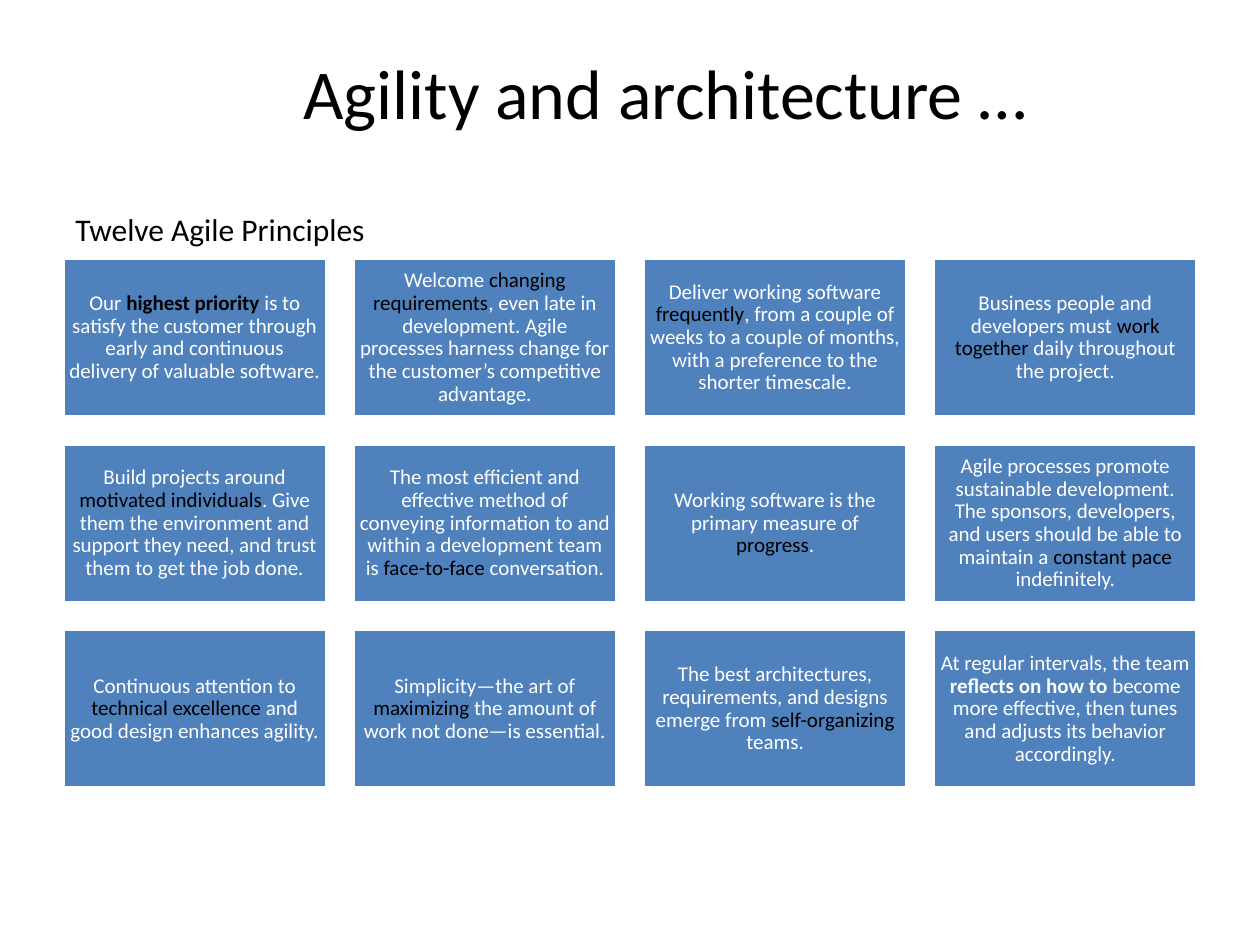
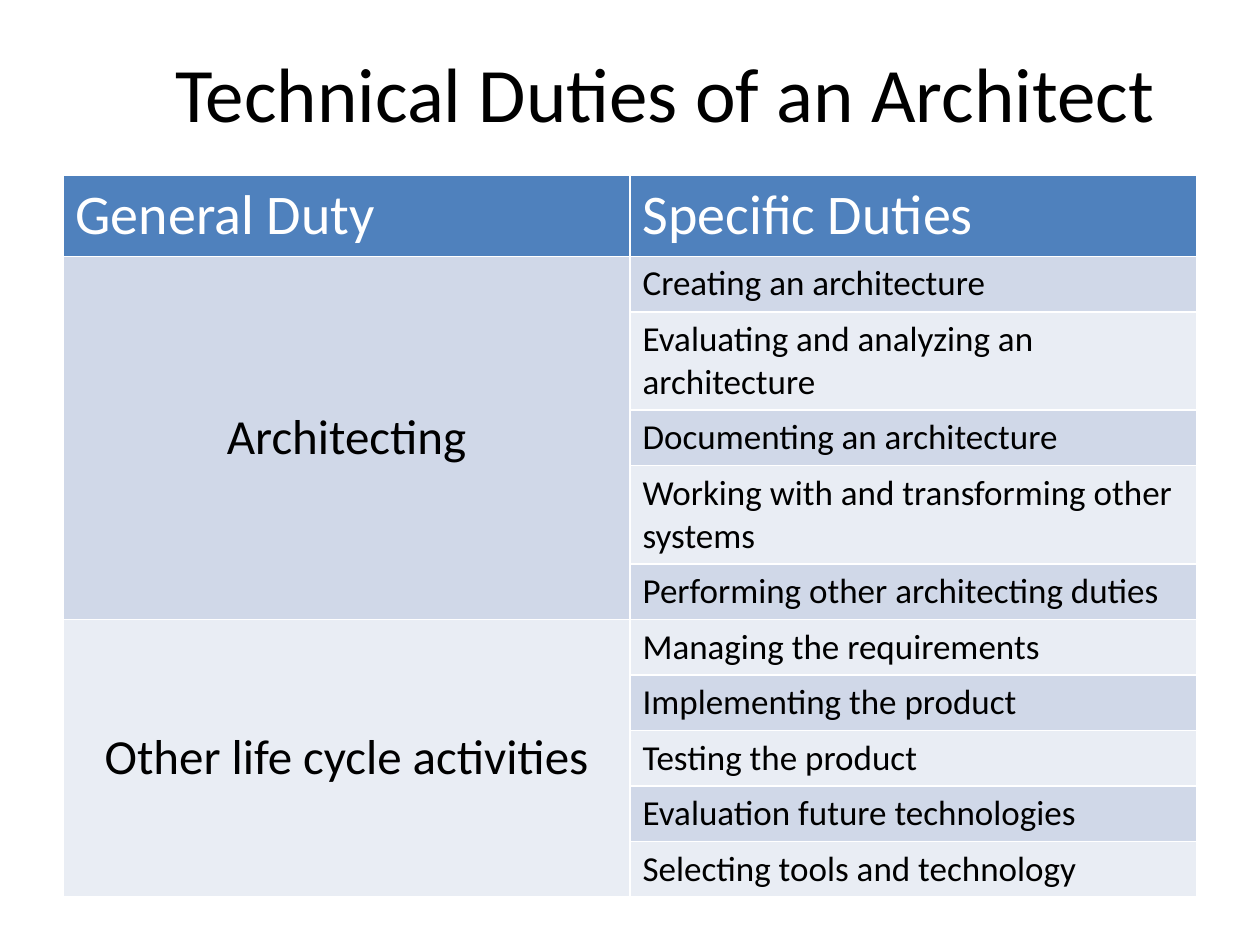
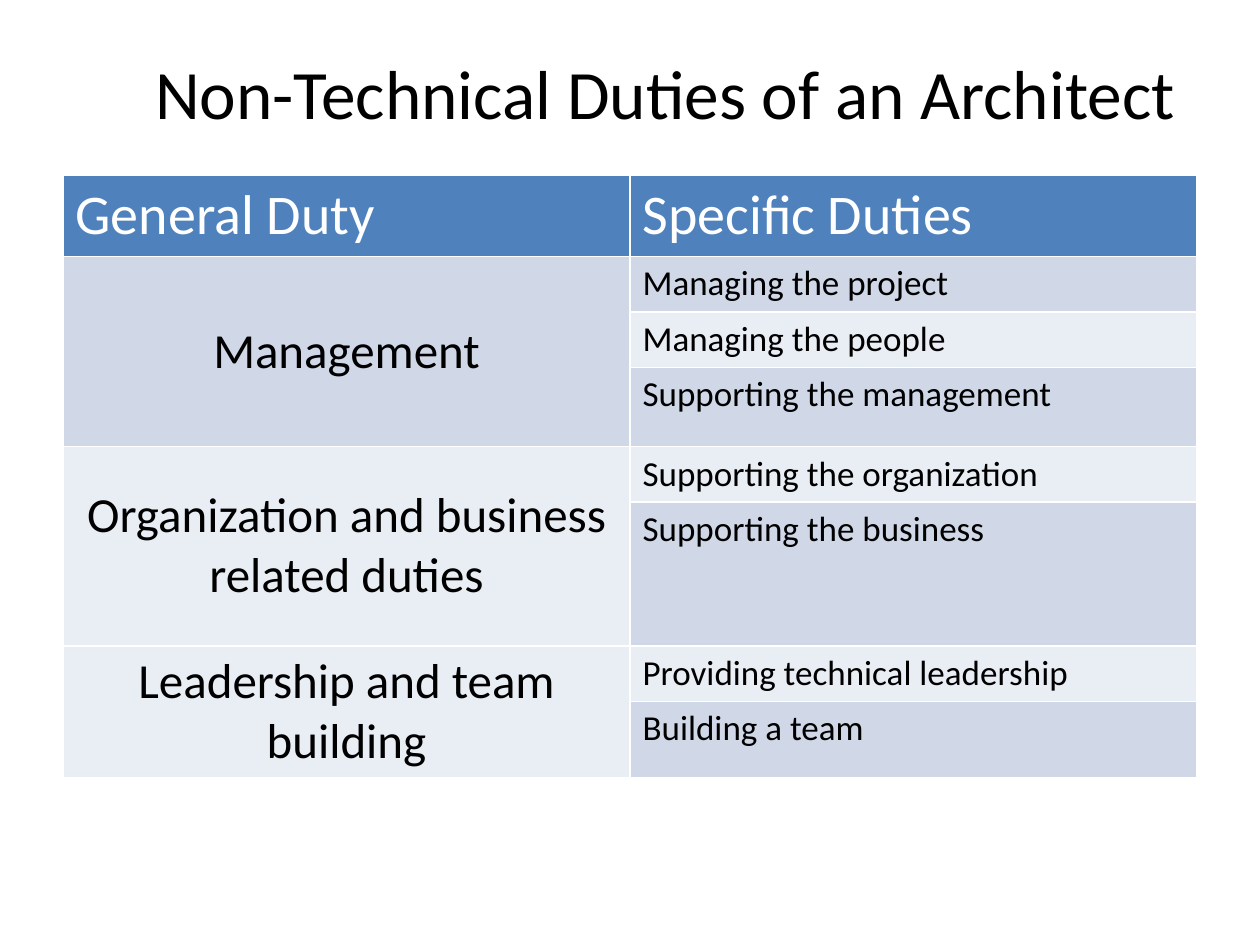
from pptx import Presentation
from pptx.dml.color import RGBColor
from pptx.enum.shapes import MSO_SHAPE
from pptx.enum.text import MSO_ANCHOR, MSO_AUTO_SIZE, PP_ALIGN
from pptx.util import Inches, Pt

FONT = "Calibri"
COLORS = {
    "black": "000000",
    "white": "FFFFFF",
    "blue": "4F81BD",
    "band_dark": "D0D8E8",
    "band_light": "E9EDF4",
}
LEFT = 0.5
CONTENT_WIDTH = 9
TITLE_ONLY_LAYOUT = 5

TILE_WIDTH, TILE_HEIGHT = 2.09, 1.26
TILE_COLUMNS = 4
TILE_GAP = (CONTENT_WIDTH - TILE_COLUMNS * TILE_WIDTH) / (TILE_COLUMNS - 1)
TILES_TOP = 2.05

# Each principle: text before the key words, key words, text after,
# and optionally the colour and weight of the key words.
PRINCIPLES = [
    ("Our ", "highest priority ",
     "is to satisfy the customer through early and continuous delivery of valuable software.",
     "black", True),
    ("Welcome ", "changing requirements",
     ", even late in development. Agile processes harness change for the customer’s "
     "competitive advantage."),
    ("Deliver working software ", "frequently",
     ", from a couple of weeks to a couple of months, with a preference to the shorter timescale."),
    ("Business people and developers must ", "work together", " daily throughout the project."),
    ("Build projects around ", "motivated individuals",
     ". Give them the environment and support they need, and trust them to get the job done."),
    ("The most efficient and effective method of conveying information to and within "
     "a development team is ", "face-to-face", " conversation."),
    ("Working software is the primary measure of ", "progress", "."),
    ("Agile processes promote sustainable development. The sponsors, developers, and users "
     "should be able to maintain a ", "constant pace ", "indefinitely."),
    ("Continuous attention to ", "technical excellence ", "and good design enhances agility."),
    ("Simplicity—the art of ", "maximizing", " the amount of work not done—is essential."),
    ("The best architectures, requirements, and designs emerge from ", "self-organizing ", "teams."),
    ("At regular intervals, the team ", "reflects on how to ",
     "become more effective, then tunes and adjusts its behavior accordingly.",
     "white", True),
]

TECHNICAL_DUTIES = {
    "Architecting": [
        "Creating an architecture",
        "Evaluating and analyzing an architecture",
        "Documenting an architecture",
        "Working with and transforming other systems",
        "Performing other architecting duties",
    ],
    "Other life cycle activities": [
        "Managing the requirements",
        "Implementing the product",
        "Testing the product",
        "Evaluation future technologies",
        "Selecting tools and technology",
    ],
}
NON_TECHNICAL_DUTIES = {
    "Management": [
        "Managing the project",
        "Managing the people",
        "Supporting the management",
    ],
    "Organization and business related duties": [
        "Supporting the organization",
        "Supporting the business",
    ],
    "Leadership and team building": [
        "Providing technical leadership",
        "Building a team",
    ],
}


def color(name):
    return RGBColor.from_string(COLORS[name])


def style_run(span, size, color_name="black", bold=False):
    span.font.name = FONT
    span.font.size = Pt(size)
    span.font.bold = bold
    span.font.color.rgb = color(color_name)


class SlideBuilder:
    """Holds the deck and the slide being filled."""

    def __init__(self):
        self.deck = Presentation()
        self.deck.slide_width = Inches(10)
        self.deck.slide_height = Inches(7.5)
        self.page = None

    def new_page(self, title, size):
        layout = self.deck.slide_layouts[TITLE_ONLY_LAYOUT]
        self.page = self.deck.slides.add_slide(layout)
        box = self.page.shapes.title
        box.left, box.top = Inches(1.06), Inches(0.3)
        box.width, box.height = Inches(8.44), Inches(0.85)
        frame = box.text_frame
        frame.text = title
        frame.auto_size = MSO_AUTO_SIZE.NONE
        frame.vertical_anchor = MSO_ANCHOR.MIDDLE
        para = frame.paragraphs[0]
        para.alignment = PP_ALIGN.CENTER
        style_run(para.runs[0], size)

    def caption(self, text, top):
        box = self.page.shapes.add_textbox(Inches(LEFT), Inches(top), Inches(5), Inches(0.4))
        box.text_frame.word_wrap = True
        box.text_frame.text = text
        style_run(box.text_frame.paragraphs[0].runs[0], 18)

    def tile(self, left, top, before, key, after, key_color="black", key_bold=False):
        box = self.page.shapes.add_shape(
            MSO_SHAPE.RECTANGLE, Inches(left), Inches(top), Inches(TILE_WIDTH), Inches(TILE_HEIGHT))
        box.shadow.inherit = False
        box.fill.solid()
        box.fill.fore_color.rgb = color("blue")
        box.line.color.rgb = color("white")
        box.line.width = Pt(2)
        frame = box.text_frame
        frame.word_wrap = True
        frame.vertical_anchor = MSO_ANCHOR.MIDDLE
        frame.margin_left = frame.margin_right = Inches(0.05)
        frame.margin_top = frame.margin_bottom = Inches(0.05)
        para = frame.paragraphs[0]
        para.alignment = PP_ALIGN.CENTER
        para.line_spacing = 0.9
        for text, color_name, bold in (
                (before, "white", False), (key, key_color, key_bold), (after, "white", False)):
            span = para.add_run()
            span.text = text
            style_run(span, 12, color_name, bold)

    def tile_grid(self, principles):
        for index, principle in enumerate(principles):
            row, column = divmod(index, TILE_COLUMNS)
            self.tile(LEFT + column * (TILE_WIDTH + TILE_GAP),
                      TILES_TOP + row * (TILE_HEIGHT + TILE_GAP), *principle)

    def cell(self, cell, text, size, fill, text_color="black", centered=False):
        cell.fill.solid()
        cell.fill.fore_color.rgb = color(fill)
        cell.text = text
        para = cell.text_frame.paragraphs[0]
        style_run(para.runs[0], size, text_color)
        if centered:
            cell.vertical_anchor = MSO_ANCHOR.MIDDLE
            para.alignment = PP_ALIGN.CENTER

    def duty_table(self, duties, height, tall_rows):
        """Merge each general duty over its specific duties; tall_rows maps row to height."""
        row_count = 1 + sum(len(specifics) for specifics in duties.values())
        holder = self.page.shapes.add_table(
            row_count, 2, Inches(LEFT), Inches(1.39), Inches(CONTENT_WIDTH), Inches(height))
        table = holder.table
        for index, row in enumerate(table.rows):
            row.height = Inches(tall_rows.get(index, 0.41))
        holder.height = Inches(height)
        for column, heading in enumerate(("General Duty", "Specific Duties")):
            self.cell(table.cell(0, column), heading, 32, "blue", "white")
        row = 1
        for general, specifics in duties.items():
            first = row
            for specific in specifics:
                self.cell(table.cell(row, 1), specific, 20, self.band(row))
                row += 1
            table.cell(first, 0).merge(table.cell(row - 1, 0))
            self.cell(table.cell(first, 0), general, 28, self.band(first), centered=True)

    @staticmethod
    def band(row):
        return "band_dark" if row % 2 else "band_light"


def main():
    builder = SlideBuilder()

    builder.new_page("Agility and architecture …", 40)
    builder.tile_grid(PRINCIPLES)
    builder.caption("Twelve Agile Principles", 1.62)

    builder.new_page("Technical Duties of an Architect", 44)
    builder.duty_table(TECHNICAL_DUTIES, 5.63, {})

    builder.new_page("Non-Technical Duties of an Architect", 39.6)
    builder.duty_table(NON_TECHNICAL_DUTIES, 4.73, {3: 0.63, 5: 1.14})

    builder.deck.save("out.pptx")


if __name__ == "__main__":
    main()
